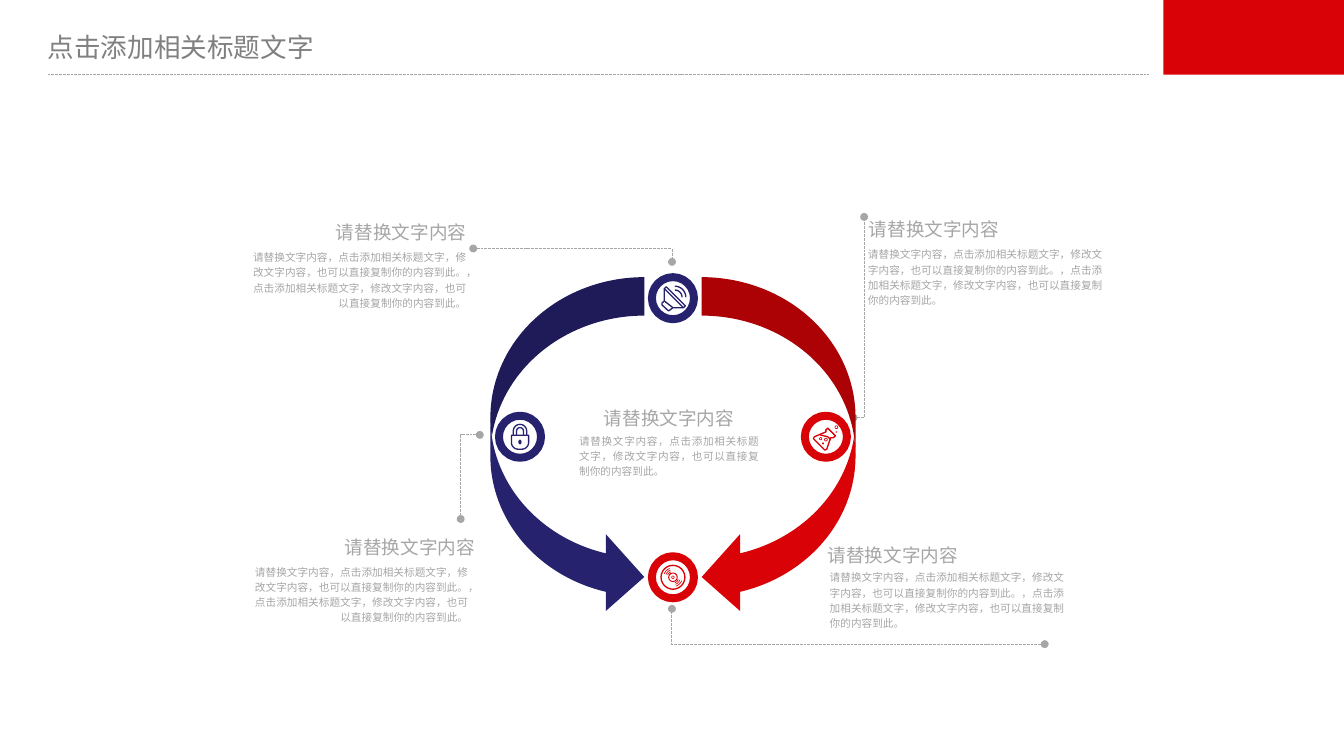
from math import cos, radians, sin
from lxml.etree import SubElement
from pptx import Presentation
from pptx.dml.color import RGBColor
from pptx.enum.dml import MSO_LINE
from pptx.enum.shapes import MSO_CONNECTOR, MSO_SHAPE
from pptx.enum.text import MSO_ANCHOR, MSO_AUTO_SIZE, PP_ALIGN
from pptx.oxml.ns import qn
from pptx.util import Inches, Pt

WIDE, HIGH = Inches(14.06), Inches(7.91)
COL, ROW = WIDE / 140.6, HIGH / 79.1
NAVY, RED, GREY, DARK, WHITE = "26226E", "D80207", "A6A6A6", "808080", "FFFFFF"
LEFT, RIGHT, MID, FULL = PP_ALIGN.LEFT, PP_ALIGN.RIGHT, PP_ALIGN.CENTER, PP_ALIGN.JUSTIFY
HEAD = "请替换文字内容"
FIRST = "请替换文字内容，点击添加相关标题文字，修改文字内容，也可以直接复制你的内容到此。"
BODY = FIRST + "，点击添加相关标题文字，修改文字内容，也可以直接复制你的内容到此。"
FLAT = dict.fromkeys(("margin_left", "margin_top", "margin_right", "margin_bottom"), 0)
INSET = {"margin_left": COL, "margin_right": COL, "margin_top": ROW / 2, "margin_bottom": ROW / 2}


def style(item, look):
    for key, value in look.items():
        setattr(item, key, value)


def tint(part, code):
    part.rgb = RGBColor.from_string(code)


def place(col, row):
    return round(col * COL), round(row * ROW)


def paint(shape, fill=None, line=None, width=1):
    shape.shadow.inherit = False
    if fill:
        shape.fill.solid()
        tint(shape.fill.fore_color, fill)
    else:
        shape.fill.background()
    if line:
        tint(shape.line.color, line)
        shape.line.width = Pt(width)
    else:
        shape.line.fill.background()


def block(slide, kind, col, row, wide, high, **look):
    shape = slide.shapes.add_shape(kind, *place(col, row), *place(wide, high))
    paint(shape, **look)


def disc(slide, col, row, rad, tall=None, **look):
    tall = tall or rad
    block(slide, MSO_SHAPE.OVAL, col - rad, row - tall, 2 * rad, 2 * tall, **look)


def write(box, text, size, color, align, face="Arial", lead=1.2):
    para = box.paragraphs[0]
    style(para, {"alignment": align, "line_spacing": lead, "space_before": Pt(0)})
    run = para.add_run()
    run.text = text
    style(run.font, {"size": Pt(size), "name": face})
    tint(run.font.color, color)
    SubElement(run.font._element, qn("a:ea"), typeface="Noto Sans CJK SC")


def label(slide, spot, text, size, align, wrap, pad):
    box = slide.shapes.add_textbox(*place(*spot[:2]), *place(*spot[2:])).text_frame
    style(box, {**pad, "word_wrap": wrap, "auto_size": MSO_AUTO_SIZE.SHAPE_TO_FIT_TEXT})
    write(box, text, size, GREY, align)


def card(slide, head, body, align, text=BODY, lean=None, pad=FLAT):
    label(slide, head, HEAD, 14, align, False, pad)
    label(slide, body, text, 8, lean or align, True, pad)


def link(slide, start, end, width=0.75, bent=True):
    kind = MSO_CONNECTOR.ELBOW if bent else MSO_CONNECTOR.STRAIGHT
    wire = slide.shapes.add_connector(kind, *place(*start), *place(*end))
    style(wire.line, {"width": Pt(width), "dash_style": MSO_LINE.SQUARE_DOT})
    tint(wire.line.color, GREY)
    props = wire._element.spPr
    if bent:
        props.find(qn("a:prstGeom")).set("prst", "bentConnector2")
        for end in ("a:headEnd", "a:tailEnd"):
            SubElement(props.find(qn("a:ln")), qn(end), type="oval")
    SubElement(props, qn("a:effectLst"))


def arc(col, row, rad, start, stop):
    turns = [radians(start + (stop - start) * step / 12) for step in range(13)]
    return [(col + rad * cos(turn), row + rad * sin(turn)) for turn in turns]


def trace(slide, hub, dots, color, close=False, width=1):
    spots = [place(hub[0] + col, hub[1] + row) for col, row in dots]
    path = slide.shapes.build_freeform(*spots[0], scale=1.0)
    path.add_line_segments(spots[1:], close=close)
    paint(path.convert_to_shape(), line=color, width=width)


def speaker(slide, hub, color):
    cone = [(-0.9, 0.3), (-0.9, -1), (-0.7, -1.2), (1.3, 0.8), (1.1, 1), (0, 1),
            (-0.4, 1.3), (-0.5, 1.3), (-1.15, 0.7), (-1.15, 0.5)]
    trace(slide, hub, cone, color, True)
    trace(slide, hub, [(-0.9, -1), (1.1, 1)], color)
    trace(slide, hub, [(-0.9, 0.3), (0, 1)], color)
    for rad in (0.75, 1.15):
        trace(slide, hub, arc(0.2, -0.1, rad, 270, 360), color)


def flask(slide, hub, color):
    glass = [(1, -0.1), (0.8, 0.1), (0.5, 0.1), (0.1, 1.3), (-0.1, 1.4), (-1.3, 0.2),
             (-1.2, 0), (0, -0.5), (0, -0.7), (0.2, -0.9)]
    trace(slide, hub, glass, color, True)
    trace(slide, hub, [(-0.6, -0.2), (-0.2, -0.1), (0.2, 0), (0.5, 0.3)], color)
    for col, row, rad in ((0, 0.3, 0.15), (1.1, -1, 0.15), (-0.55, 0.2, 0.12)):
        disc(slide, hub[0] + col, hub[1] + row, rad, line=color, width=0.5)
    for col, row, rad in ((-0.3, 0.7, 0.1), (1.1, -0.5, 0.07)):
        disc(slide, hub[0] + col, hub[1] + row, rad, fill=color)


def record(slide, hub, color):
    for rad, width in ((1.25, 1), (0.45, 0.75), (0.13, 0.5)):
        disc(slide, *hub, rad, line=color, width=width)
    for rad in (0.6, 0.78, 0.98):
        for turn in (22, 202):
            trace(slide, hub, arc(0, 0, rad, turn, turn + 48), color, width=0.5)


def lock(slide, hub, color):
    case = [(-0.9, -0.15), (0.9, -0.15)] + arc(0.2, 0.6, 0.7, 0, 90) + arc(-0.2, 0.6, 0.7, 90, 180)
    trace(slide, hub, case, color, True)
    for rad in (0.7, 0.36):
        bow = [(-rad, -0.2)] + arc(0, -0.6, rad, 180, 360) + [(rad, -0.2)]
        trace(slide, hub, bow, color)
    disc(slide, hub[0], hub[1] + 0.55, 0.17, 0.25, fill=color)


def title(slide):
    shape = slide.shapes.title
    spot = place(4, 2.9) + place(33.5, 4.1)
    style(shape, dict(zip(("left", "top", "width", "height"), spot)))
    style(shape.text_frame, {**INSET, "word_wrap": True, "auto_size": MSO_AUTO_SIZE.NONE,
                             "vertical_anchor": MSO_ANCHOR.MIDDLE})
    write(shape.text_frame, "点击添加相关标题文字", 20, DARK, LEFT, "Noto Sans CJK SC", 1.0)


def main():
    deck = Presentation()
    style(deck, {"slide_width": WIDE, "slide_height": HIGH})
    slide = deck.slides.add_slide(deck.slide_layouts[5])
    title(slide)
    link(slide, (5, 7.8), (120.1, 7.8), 0.25, False)
    block(slide, MSO_SHAPE.RECTANGLE, 121.7, 0, 18.9, 7.8, fill=RED)

    for start, end in (((89.3, 43.7), (90.4, 22.7)), ((109.3, 67.4), (70.3, 63.7)),
                       ((50.2, 45.5), (48.2, 54.3)), ((49.5, 26), (70.3, 27.4))):
        link(slide, start, end)

    hubs = (((70.4, 31.2), NAVY, speaker), ((86.4, 45.7), RED, flask),
            ((70.4, 60.4), RED, record), ((54.4, 45.7), NAVY, lock))
    for hub, color, _ in hubs:
        disc(slide, *hub, 2.2, fill=WHITE, line=color, width=6)
    for kind, col, color in ((MSO_SHAPE.CURVED_RIGHT_ARROW, 51.3, NAVY),
                             (MSO_SHAPE.CURVED_LEFT_ARROW, 73.4, RED)):
        block(slide, kind, col, 29, 16.1, 35.4, fill=color)
    for hub, color, icon in hubs:
        icon(slide, hub, color)

    card(slide, (62.1, 41.6, 15.8, 3.8), (59.6, 44.7, 20.8, 5.9), MID, FIRST, FULL, INSET)
    card(slide, (35.1, 22.7, 13.7, 2.8), (25.9, 26, 22.9, 6.5), RIGHT)
    card(slide, (36, 55.6, 13.7, 2.8), (26.1, 58.9, 22.9, 6.5), RIGHT)
    card(slide, (90.9, 22.3, 13.7, 2.8), (90.8, 25.7, 24.8, 6.5), LEFT)
    card(slide, (86.6, 56.4, 13.7, 2.8), (86.8, 59.5, 24.8, 6.5), LEFT)
    deck.save("out.pptx")


if __name__ == "__main__":
    main()
